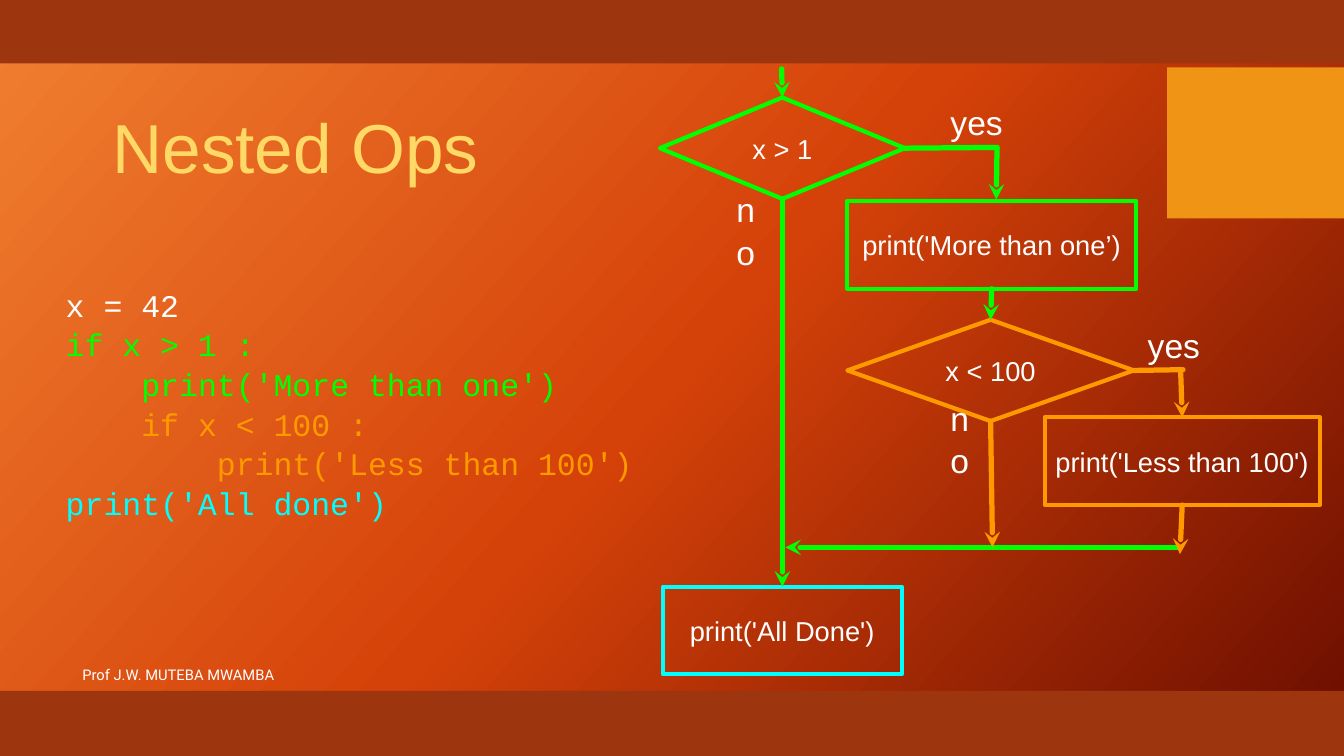
from copy import deepcopy
from dataclasses import dataclass

from lxml import etree
from pptx import Presentation
from pptx.dml.color import RGBColor
from pptx.enum.shapes import MSO_CONNECTOR, MSO_SHAPE
from pptx.enum.text import MSO_ANCHOR, PP_ALIGN
from pptx.oxml.ns import qn
from pptx.util import Inches, Pt

RECTANGLE, DIAMOND = MSO_SHAPE.RECTANGLE, MSO_SHAPE.DIAMOND
STRAIGHT = MSO_CONNECTOR.STRAIGHT
MIDDLE = MSO_ANCHOR.MIDDLE
LEFT, CENTER = PP_ALIGN.LEFT, PP_ALIGN.CENTER
TOP, BOTTOM, RIGHT = 0, 2, 3


@dataclass(frozen=True)
class Theme:
    white: str = "FFFFFF"
    green: str = "00FF00"
    orange: str = "FF9900"
    cyan: str = "00FFFF"
    gold: str = "FFD966"
    band: str = "9D360E"
    accent: str = "F09415"
    gradient: tuple = ("F18031", "D54209", "6A0D00")
    gradient_angle: int = 42
    sans: str = "Arial"
    mono: str = "Courier New"
    footer_font: str = "Roboto"
    title_size: int = 66
    label_size: int = 32
    code_size: int = 30
    step_size: int = 26
    footer_size: int = 14
    outline: int = 4
    arrow: int = 5
    line_spacing: float = 1.05
    code_indent: float = 1.0


class SlideBuilder:
    def __init__(self, slide, theme):
        self.slide = slide
        self.theme = theme

    def background(self):
        fill = self.slide.background.fill
        fill.gradient()
        stop_list = next(self.slide.element.iter(qn("a:gsLst")))
        stop_list.append(deepcopy(stop_list[-1]))
        colors = self.theme.gradient
        for index, (stop, color) in enumerate(zip(fill.gradient_stops, colors)):
            stop.position = index / (len(colors) - 1)
            stop.color.rgb = RGBColor.from_string(color)
        fill.gradient_angle = 360 - self.theme.gradient_angle

    def block(self, bounds, color):
        shape = self.slide.shapes.add_shape(RECTANGLE, *map(Inches, bounds))
        shape.shadow.inherit = False
        shape.fill.solid()
        shape.fill.fore_color.rgb = RGBColor.from_string(color)
        shape.line.fill.background()

    def fill_text(self, frame, lines, size, font, align=CENTER, inset=0, spacing=None):
        """Fill a frame with lines of (text, color, indent level)."""
        frame_format = {"word_wrap": True, "vertical_anchor": MIDDLE}
        for side in ("left", "top", "right", "bottom"):
            frame_format[f"margin_{side}"] = Inches(inset)
        for name, value in frame_format.items():
            setattr(frame, name, value)
        for index, (text, color, level) in enumerate(lines):
            paragraph = frame.add_paragraph() if index else frame.paragraphs[0]
            paragraph.alignment = align
            paragraph.line_spacing = spacing
            if level:
                indent = Inches(level * self.theme.code_indent)
                paragraph._p.get_or_add_pPr().set("marL", str(indent))
            run = paragraph.add_run()
            run.text = text
            for name, value in {"size": Pt(size), "name": font}.items():
                setattr(run.font, name, value)
            run.font.color.rgb = RGBColor.from_string(color)

    def text(self, bounds, lines, size, font, **options):
        box = self.slide.shapes.add_textbox(*map(Inches, bounds))
        self.fill_text(box.text_frame, lines, size, font, **options)

    def label(self, left, top, width, text):
        theme = self.theme
        self.text((left, top, width, 0.51), [(text, theme.white, 0)],
                  theme.label_size, theme.sans, spacing=theme.line_spacing)

    def step(self, kind, bounds, text, color):
        theme = self.theme
        shape = self.slide.shapes.add_shape(kind, *map(Inches, bounds))
        shape.shadow.inherit = False
        shape.fill.background()
        shape.line.color.rgb = RGBColor.from_string(color)
        shape.line.width = Pt(theme.outline)
        self.fill_text(shape.text_frame, [(text, theme.white, 0)],
                       theme.step_size, theme.sans)
        return shape

    def line(self, start, end, color, arrow=True):
        """Each end is an (x, y) point or a (shape, side) pair."""
        points = [(0, 0) if hasattr(place[0], "shape_id") else place
                  for place in (start, end)]
        connector = self.slide.shapes.add_connector(
            STRAIGHT, *(Inches(value) for point in points for value in point))
        for place, connect in ((start, connector.begin_connect),
                               (end, connector.end_connect)):
            if hasattr(place[0], "shape_id"):
                connect(*place)
        connector.line.color.rgb = RGBColor.from_string(color)
        connector.line.width = Pt(self.theme.arrow)
        properties = connector._element.spPr
        outline = properties.find(qn("a:ln"))
        outline.set("cap", "rnd")
        if arrow:
            etree.SubElement(outline, qn("a:tailEnd"), type="stealth")
        etree.SubElement(properties, qn("a:effectLst"))


def main():
    theme = Theme()
    presentation = Presentation()
    presentation.slide_width = Inches(17.78)
    presentation.slide_height = Inches(10)
    slide = presentation.slides.add_slide(presentation.slide_layouts[6])
    builder = SlideBuilder(slide, theme)

    # Backdrop
    builder.background()
    builder.block((0, 0, 17.78, 0.84), theme.band)
    builder.block((0, 9.14, 17.78, 0.86), theme.band)
    builder.block((15.44, 0.89, 2.34, 2), theme.accent)

    # Title, code and footer
    builder.text((1.28, 0.75, 5.26, 2.37), [("Nested Ops", theme.gold, 0)],
                 theme.title_size, theme.sans, inset=0.04)
    code = [
        ("x = 42", theme.white, 0),
        ("if x > 1 :", theme.green, 0),
        ("print('More than one')", theme.green, 1),
        ("if x < 100 :", theme.orange, 1),
        ("print('Less than 100')", theme.orange, 2),
        ("print('All done')", theme.cyan, 0),
    ]
    builder.text((0.87, 3.51, 7.6, 3.64), code, theme.code_size, theme.mono,
                 align=LEFT, spacing=theme.line_spacing)
    builder.text((0.99, 8.66, 10.02, 0.53),
                 [("Prof J.W. MUTEBA MWAMBA", theme.white, 0)],
                 theme.footer_size, theme.footer_font, align=LEFT, inset=0.1)

    # Flowchart steps
    outer_test = builder.step(DIAMOND, (8.73, 1.29, 3.24, 1.34), "x > 1", theme.green)
    more = builder.step(RECTANGLE, (11.21, 2.66, 3.82, 1.16),
                        "print('More than one’)", theme.green)
    inner_test = builder.step(DIAMOND, (11.21, 4.23, 3.79, 1.34), "x < 100", theme.orange)
    less = builder.step(RECTANGLE, (13.82, 5.52, 3.64, 1.16),
                        "print('Less than 100')", theme.orange)
    done = builder.step(RECTANGLE, (8.77, 7.76, 3.16, 1.16),
                        "print('All Done')", theme.cyan)

    # Outer branch
    builder.line((10.34, 0.91), (outer_test, TOP), theme.green)
    builder.line((outer_test, RIGHT), (13.19, 1.95), theme.green, arrow=False)
    builder.line((13.19, 1.95), (13.18, 2.64), theme.green)
    builder.line((outer_test, BOTTOM), (done, TOP), theme.green)
    builder.line((more, BOTTOM), (inner_test, TOP), theme.green)
    builder.line((15.58, 7.24), (10.39, 7.24), theme.green)

    # Inner branch
    builder.line((inner_test, RIGHT), (15.65, 4.89), theme.orange, arrow=False)
    builder.line((15.62, 4.93), (less, TOP), theme.orange)
    builder.line((inner_test, BOTTOM), (13.13, 7.24), theme.orange)
    builder.line((less, BOTTOM), (15.61, 7.33), theme.orange)

    # Branch labels
    for left, top, width, text in (
        (12.42, 1.35, 1, "yes"),
        (15.03, 4.29, 1, "yes"),
        (12.45, 5.54, 0.49, "no"),
        (9.62, 2.78, 0.49, "no"),
    ):
        builder.label(left, top, width, text)

    presentation.save("out.pptx")


if __name__ == "__main__":
    main()
